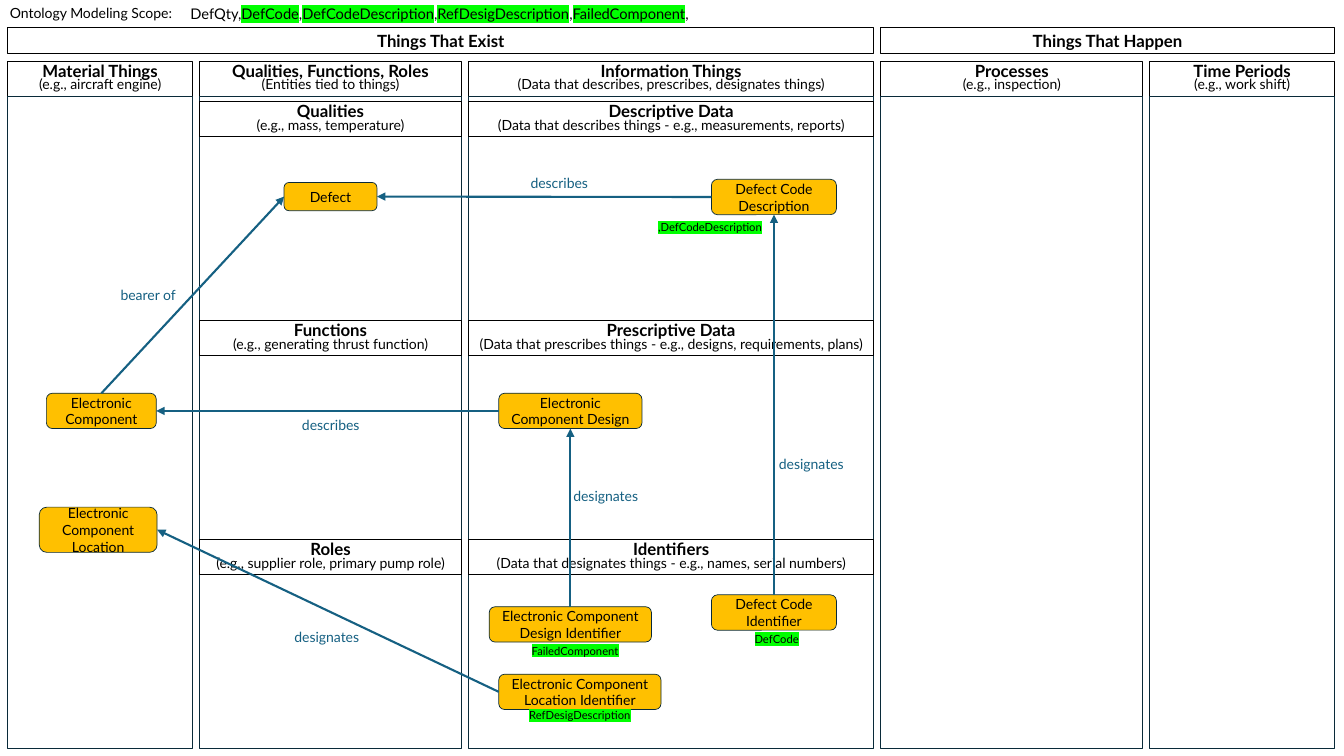
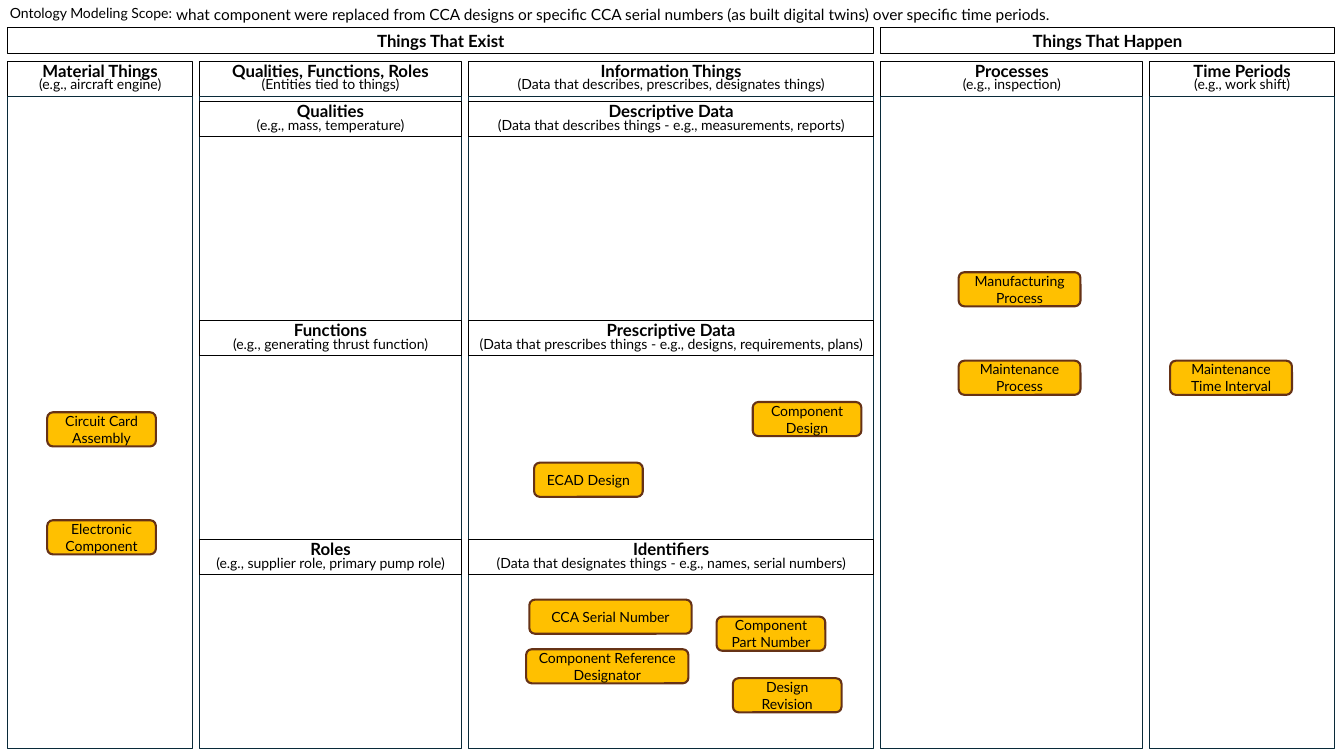
from dataclasses import dataclass
from typing import NamedTuple

import lxml.etree
import pptx
import pptx.dml.color
import pptx.enum.shapes
import pptx.enum.text
import pptx.oxml.ns
import pptx.shapes.autoshape
import pptx.shapes.connector
import pptx.slide
import pptx.text.text
import pptx.util

Cm = pptx.util.Cm
Pt = pptx.util.Pt
RGBColor = pptx.dml.color.RGBColor
SHAPE = pptx.enum.shapes.MSO_SHAPE
ALIGN = pptx.enum.text.PP_ALIGN
ANCHOR = pptx.enum.text.MSO_ANCHOR
qn = pptx.oxml.ns.qn

FONT = "Lato"
BLACK = RGBColor(0x00, 0x00, 0x00)
NAVY = RGBColor(0x09, 0x2A, 0x39)
TEAL = RGBColor(0x15, 0x60, 0x82)
AMBER = RGBColor(0xFF, 0xC0, 0x00)
BROWN = RGBColor(0x66, 0x32, 0x16)
GREEN = RGBColor(0x00, 0xFF, 0x00)

TOP, LEFT, BOTTOM, RIGHT = range(4)

COLUMN_LEFT, COLUMN_GAP = 0.2, 0.18
BAND_TOP, BAND_HEIGHT = 0.7, 0.64
HEADER_TOP, HEADER_HEIGHT = 1.55, 0.89
BODY_HEIGHT = 16.42
SECTION_TOP, SECTION_STEP = 2.56, 5.52


class Box(NamedTuple):
    """Left, top, width and height in centimetres."""
    x: float
    y: float
    w: float
    h: float


class Heading(NamedTuple):
    title: str
    note: str = ""
    side_inset: float = 0.25


@dataclass(frozen=True)
class Column:
    width: float
    heading: Heading
    sections: tuple[Heading, ...] = ()


@dataclass(frozen=True)
class Node:
    text: str
    box: Box


@dataclass(frozen=True)
class Link:
    start: str
    start_side: int
    end: str
    end_side: int


class Label(NamedTuple):
    text: str
    x: float
    y: float


class Piece(NamedTuple):
    text: str
    marked: bool = False


COLUMNS = (
    Column(4.65, Heading("Material Things", "(e.g., aircraft engine)")),
    Column(6.6, Heading("Qualities, Functions, Roles", "(Entities tied to things)"), (
        Heading("Qualities", "(e.g., mass, temperature)"),
        Heading("Functions", "(e.g., generating thrust function)"),
        Heading("Roles", "(e.g., supplier role, primary pump role)"),
    )),
    Column(10.21, Heading("Information Things",
                          "(Data that describes, prescribes, designates things)"), (
        Heading("Descriptive Data",
                "(Data that describes things - e.g., measurements, reports)"),
        Heading("Prescriptive Data",
                "(Data that prescribes things - e.g., designs, requirements, plans)", 0),
        Heading("Identifiers",
                "(Data that designates things - e.g., names, serial numbers)"),
    )),
    Column(6.6, Heading("Processes", "(e.g., inspection)")),
    Column(4.65, Heading("Time Periods", "(e.g., work shift)")),
)
EXIST_COLUMNS = 3

DEFECT_NODES = (
    Node("Defect", Box(7.16, 4.6, 2.34, 0.71)),
    Node("Defect Code Description", Box(17.93, 4.52, 3.15, 0.89)),
    Node("Electronic Component", Box(1.17, 9.91, 2.77, 0.89)),
    Node("Electronic Component Location Identifier", Box(12.57, 16.99, 4.09, 0.89)),
    Node("Electronic Component Design", Box(12.57, 9.91, 3.61, 0.89)),
    Node("Electronic Component Design Identifier", Box(12.33, 15.29, 4.09, 0.89)),
    Node("Defect Code Identifier", Box(17.93, 14.99, 3.15, 0.89)),
    Node("Electronic Component Location", Box(0.99, 12.78, 2.97, 1.14)),
)
DEFECT_LINKS = (
    Link("Electronic Component", TOP, "Defect", LEFT),
    Link("Electronic Component Design", LEFT, "Electronic Component", RIGHT),
    Link("Electronic Component Location Identifier", LEFT,
         "Electronic Component Location", RIGHT),
    Link("Electronic Component Design Identifier", TOP,
         "Electronic Component Design", BOTTOM),
    Link("Defect Code Identifier", TOP, "Defect Code Description", BOTTOM),
    Link("Defect Code Description", LEFT, "Defect", RIGHT),
)
LINK_LABELS = (
    Label("designates", 14.12, 12.17),
    Label("designates", 7.09, 15.72),
    Label("describes", 7.19, 10.36),
    Label("designates", 19.3, 11.35),
    Label("bearer of", 2.59, 7.09),
    Label("describes", 12.95, 4.27),
)
FIELD_TAGS = (
    Label("FailedComponent", 12.88, 16.1),
    Label("RefDesigDescription", 13, 17.73),
    Label("DefCode", 17.96, 15.8),
    Label(",DefCodeDescription", 16.28, 5.44),
)
DEFECT_SCOPE = (
    Piece("DefQty,"),
    Piece("DefCode", True), Piece(","),
    Piece("DefCodeDescription", True), Piece(","),
    Piece("RefDesigDescription", True), Piece(","),
    Piece("FailedComponent", True), Piece(","),
)

REPLACEMENT_NODES = (
    Node("Circuit Card Assembly", Box(1.19, 10.39, 2.74, 0.86)),
    Node("Electronic Component", Box(1.19, 13.11, 2.74, 0.86)),
    Node("CCA Serial Number", Box(13.34, 15.11, 4.09, 0.86)),
    Node("Component Reference Designator", Box(13.26, 16.36, 4.09, 0.86)),
    Node("Component Design", Box(18.97, 10.13, 2.74, 0.86)),
    Node("Component Part Number", Box(18.06, 15.54, 2.74, 0.86)),
    Node("Manufacturing Process", Box(24.16, 6.86, 3.07, 0.86)),
    Node("ECAD Design", Box(13.46, 11.66, 2.74, 0.86)),
    Node("Maintenance Process", Box(24.16, 9.09, 3.07, 0.86)),
    Node("Maintenance Time Interval", Box(29.49, 9.09, 3.07, 0.86)),
    Node("Design Revision", Box(18.47, 17.09, 2.74, 0.86)),
)
REPLACEMENT_SCOPE = (
    Piece("what component were replaced from CCA designs or specific CCA serial numbers "
          "(as built digital twins) over specific time periods."),
)


def set_font(p: pptx.text.text._Paragraph, size: float, color: RGBColor = BLACK,
             bold: bool = False) -> None:
    p.font.name = FONT
    p.font.size = Pt(size)
    p.font.bold = bold
    p.font.color.rgb = color


def highlight(r: pptx.text.text._Run) -> None:
    mark = lxml.etree.SubElement(r.font._element, qn("a:highlight"))
    lxml.etree.SubElement(mark, qn("a:srgbClr")).set("val", str(GREEN))


def add_box(slide: pptx.slide.Slide, box: Box, line: RGBColor, width: float,
            kind: SHAPE = SHAPE.RECTANGLE) -> pptx.shapes.autoshape.Shape:
    """Add an outlined shape without fill or shadow."""
    s = slide.shapes.add_shape(kind, *map(Cm, box))
    s.shadow.inherit = False
    s.fill.background()
    s.line.color.rgb = line
    s.line.width = Pt(width)
    return s


def add_heading(slide: pptx.slide.Slide, box: Box, heading: Heading) -> None:
    tf = add_box(slide, box, BLACK, 0.75).text_frame
    tf.word_wrap = True
    tf.vertical_anchor = ANCHOR.TOP
    tf.margin_left = tf.margin_right = Cm(heading.side_inset)
    p = tf.paragraphs[0]
    p.alignment = ALIGN.CENTER
    p.line_spacing = 0.7 if heading.note else 0.9
    set_font(p, 12, bold=True)
    p.add_run().text = heading.title
    if heading.note:
        p.add_line_break()
        r = p.add_run()
        r.text = heading.note
        r.font.size = Pt(10)
        r.font.bold = False


def add_text(slide: pptx.slide.Slide, box: Box, pieces: tuple[Piece, ...], size: float,
             color: RGBColor = BLACK, align: ALIGN = ALIGN.LEFT) -> None:
    tf = slide.shapes.add_textbox(*map(Cm, box)).text_frame
    tf.word_wrap = True
    tf.auto_size = pptx.enum.text.MSO_AUTO_SIZE.SHAPE_TO_FIT_TEXT
    p = tf.paragraphs[0]
    p.alignment = align
    set_font(p, size, color)
    for piece in pieces:
        r = p.add_run()
        r.text = piece.text
        if piece.marked:
            highlight(r)


def add_node(slide: pptx.slide.Slide, node: Node, line: RGBColor,
             width: float) -> pptx.shapes.autoshape.Shape:
    s = add_box(slide, node.box, line, width, SHAPE.ROUNDED_RECTANGLE)
    s.fill.solid()
    s.fill.fore_color.rgb = AMBER
    tf = s.text_frame
    tf.word_wrap = True
    tf.vertical_anchor = ANCHOR.MIDDLE
    p = tf.paragraphs[0]
    p.text = node.text
    p.alignment = ALIGN.CENTER
    set_font(p, 10)
    return s


def add_link(slide: pptx.slide.Slide, link: Link,
             shapes: dict[str, pptx.shapes.autoshape.Shape]) -> None:
    """Join two nodes with an arrow that points at the end node."""
    c = slide.shapes.add_connector(pptx.enum.shapes.MSO_CONNECTOR.STRAIGHT, 0, 0, 0, 0)
    c.begin_connect(shapes[link.start], link.start_side)
    c.end_connect(shapes[link.end], link.end_side)
    c.line.color.rgb = TEAL
    c.line.width = Pt(1.5)
    lxml.etree.SubElement(c.line._get_or_add_ln(), qn("a:tailEnd")).set("type", "triangle")
    lxml.etree.SubElement(c._element.spPr, qn("a:effectLst"))


def add_framework(slide: pptx.slide.Slide) -> None:
    """Draw the bands, columns, sections and scope label that every slide shares."""
    bands = (("Things That Exist", COLUMNS[:EXIST_COLUMNS]),
             ("Things That Happen", COLUMNS[EXIST_COLUMNS:]))
    x = COLUMN_LEFT
    for title, columns in bands:
        width = sum(c.width for c in columns) + COLUMN_GAP * (len(columns) - 1)
        add_heading(slide, Box(x, BAND_TOP, width, BAND_HEIGHT), Heading(title))
        for column in columns:
            add_heading(slide, Box(x, HEADER_TOP, column.width, HEADER_HEIGHT), column.heading)
            add_box(slide, Box(x, HEADER_TOP + HEADER_HEIGHT, column.width, BODY_HEIGHT),
                    NAVY, 0.75)
            for i, section in enumerate(column.sections):
                y = SECTION_TOP + i * SECTION_STEP
                add_heading(slide, Box(x, y, column.width, HEADER_HEIGHT), section)
            x += column.width + COLUMN_GAP
    add_text(slide, Box(0, 0, 4.65, 0.69), (Piece("Ontology Modeling Scope:"),), 10)


def add_framework_slide(prs: pptx.presentation.Presentation) -> pptx.slide.Slide:
    slide = prs.slides.add_slide(prs.slide_layouts[6])
    add_framework(slide)
    return slide


def build_defect_slide(prs: pptx.presentation.Presentation) -> None:
    slide = add_framework_slide(prs)
    add_text(slide, Box(4.55, 0, 29, 0.71), DEFECT_SCOPE, 10.5)
    shapes = {node.text: add_node(slide, node, NAVY, 0.5) for node in DEFECT_NODES}
    for link in DEFECT_LINKS:
        add_link(slide, link, shapes)
    for label in LINK_LABELS:
        add_text(slide, Box(label.x, label.y, 2.29, 0.69), (Piece(label.text),), 10,
                 TEAL, ALIGN.CENTER)
    for tag in FIELD_TAGS:
        add_text(slide, Box(tag.x, tag.y, 3.23, 0.61), (Piece(tag.text, True),), 8,
                 align=ALIGN.CENTER)


def build_replacement_slide(prs: pptx.presentation.Presentation) -> None:
    slide = add_framework_slide(prs)
    add_text(slide, Box(4.19, 0, 28.12, 0.74), REPLACEMENT_SCOPE, 11)
    for node in REPLACEMENT_NODES:
        add_node(slide, node, BROWN, 1.5)


def main() -> None:
    prs = pptx.Presentation()
    prs.slide_width, prs.slide_height = Cm(33.87), Cm(19.05)
    build_defect_slide(prs)
    build_replacement_slide(prs)
    prs.save("out.pptx")


if __name__ == "__main__":
    main()
